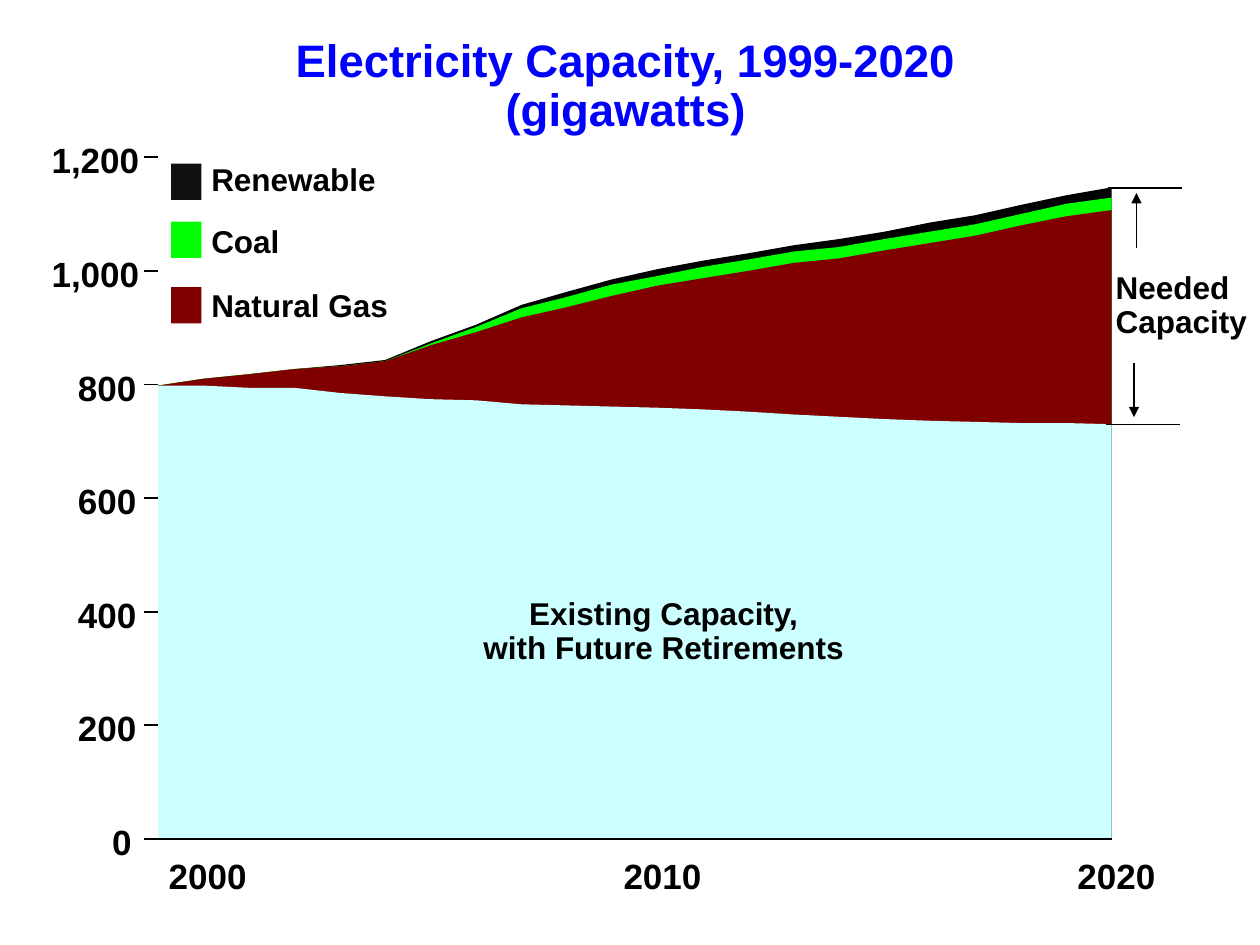
from lxml.etree import SubElement
from pptx import Presentation
from pptx.dml.color import RGBColor
from pptx.enum.shapes import MSO_CONNECTOR as Link, MSO_SHAPE as Shape
from pptx.enum.text import MSO_ANCHOR as Anchor, MSO_AUTO_SIZE as Fit, PP_ALIGN as Align
from pptx.oxml.ns import qn
from pptx.util import Cm, Pt

BLACK = RGBColor(0, 0, 0)
INK = RGBColor(0x10, 0x10, 0x10)
GREEN = RGBColor(0, 0xFF, 0)
MAROON = RGBColor(0x80, 0, 0)
CYAN = RGBColor(0xCC, 0xFF, 0xFF)
BLUE = RGBColor(0, 0, 0xFF)

LEFT, BASE, WIDE = 3.19, 16.91, 19.22
RIGHT = LEFT + WIDE
STEP = 200
UNIT = 2.29 / STEP

TOTALS = [
    (BLACK, [798, 810, 818, 827, 834, 843, 876, 905, 940, 963, 985, 1003, 1018,
             1031, 1045, 1056, 1069, 1085, 1098, 1116, 1133, 1147]),
    (GREEN, [798, 810, 818, 827, 832, 841, 872, 901, 934, 954, 976, 991, 1007,
             1020, 1034, 1042, 1056, 1069, 1082, 1100, 1118, 1129]),
    (MAROON, [798, 810, 818, 827, 832, 841, 869, 892, 918, 936, 956, 974, 987,
              1000, 1014, 1022, 1036, 1049, 1062, 1080, 1096, 1107]),
    (CYAN, [798, 798, 794, 794, 785, 779, 774, 772, 765, 763, 761, 759, 756,
            752, 747, 743, 739, 736, 734, 732, 732, 730]),
]
KEYS = [("Renewable", INK, 3.3, 3.23, 3.4), ("Coal", GREEN, 4.47, 4.47, 1.5),
        ("Natural Gas", MAROON, 5.79, 5.77, 3.7)]
YEARS = [("2000", 3.4), ("2010", 12.57), ("2020", 21.72)]
SPOTS = {1: (2.26, 0.45), 3: (1.57, 1.25), 5: (1.04, 1.85)}


def height(watts):
    """Return the vertical place of a value in gigawatts."""
    return BASE - watts * UNIT


def paint(shape, color):
    """Give a shape a flat fill without line or shadow."""
    shape.shadow.inherit = False
    shape.fill.solid()
    shape.fill.fore_color.rgb = color
    shape.line.fill.background()


def add_area(slide, color, totals):
    """Draw one area from its values down to the base line."""
    gap = WIDE / (len(totals) - 1)
    spots = [(LEFT + i * gap, height(v)) for i, v in enumerate(totals)]
    spots += [(RIGHT, BASE), (LEFT, BASE)]
    spots = [(Cm(x), Cm(y)) for x, y in spots]
    form = slide.shapes.build_freeform(*spots[0])
    form.add_line_segments(spots[1:], close=True)
    paint(form.convert_to_shape(), color)


def add_line(slide, x1, y1, x2, y2, width=0.75, arrow=False):
    """Draw a straight black line, with an arrowhead if asked."""
    line = slide.shapes.add_connector(Link.STRAIGHT, Cm(x1), Cm(y1), Cm(x2), Cm(y2))
    line.line.color.rgb = BLACK
    line.line.width = Pt(width)
    if arrow:
        edge = line._element.spPr.find(qn("a:ln"))
        SubElement(edge, qn("a:tailEnd"), type="triangle")
    SubElement(line._element.spPr, qn("a:effectLst"))


def set_text(box, text, size, color=BLACK, align=Align.LEFT, lead=1.0):
    """Fill a box with bold text and no margins."""
    frame = box.text_frame
    frame.text = text
    frame.word_wrap = False
    frame.auto_size = Fit.SHAPE_TO_FIT_TEXT
    frame.vertical_anchor = Anchor.TOP
    frame.margin_left = frame.margin_right = 0
    frame.margin_top = frame.margin_bottom = 0
    for para in frame.paragraphs:
        para.alignment = align
        para.line_spacing = lead
        for run in para.runs:
            font = run.font
            font.name, font.size, font.bold = "Arial", Pt(size), True
            font.color.rgb = color


def add_text(slide, text, x, y, w, h, size, **style):
    """Add a text box."""
    box = slide.shapes.add_textbox(Cm(x), Cm(y), Cm(w), Cm(h))
    set_text(box, text, size, **style)


def add_title(slide):
    """Move and format the title."""
    title = slide.shapes.title
    title.left, title.top = Cm(5.87), Cm(0.77)
    title.width, title.height = Cm(13.49), Cm(1.98)
    set_text(title, "Electricity Capacity, 1999-2020\n(gigawatts)", 26,
             color=BLUE, align=Align.CENTER, lead=0.9)


def add_axes(slide):
    """Draw the ticks, the base line and the axis labels."""
    for watts in range(0, 1201, STEP):
        y, text = height(watts), f"{watts:,}"
        x, w = SPOTS[len(text)]
        add_line(slide, 2.9, y, LEFT, y, width=1)
        add_text(slide, text, x, y - 0.37, w, 0.84, 20)
    add_line(slide, LEFT, BASE, RIGHT, BASE, width=1)
    for year, x in YEARS:
        add_text(slide, year, x, 17.22, 1.7, 0.84, 20)


def add_key(slide, text, color, y, top, w):
    """Add one legend entry."""
    mark = slide.shapes.add_shape(Shape.RECTANGLE, Cm(3.45), Cm(y), Cm(0.61), Cm(0.73))
    paint(mark, color)
    add_text(slide, text, 4.26, top, w, 0.76, 18)


def add_needed(slide):
    """Mark the span of needed capacity beside the areas."""
    add_text(slide, "Needed\nCapacity", 22.49, 5.49, 2.8, 1.37, 18, lead=0.9)
    add_line(slide, 22.33, 3.79, 23.83, 3.79)
    add_line(slide, 22.3, 8.56, 23.79, 8.56)
    add_line(slide, 22.86, 7.32, 22.86, 8.41, arrow=True)
    add_line(slide, 22.91, 5, 22.91, 3.89, arrow=True)


def main():
    """Build the slide and save it."""
    deck = Presentation()
    deck.slide_width, deck.slide_height = Cm(25.4), Cm(19.05)
    slide = deck.slides.add_slide(deck.slide_layouts[5])
    add_title(slide)
    for color, totals in TOTALS:
        add_area(slide, color, totals)
    add_axes(slide)
    add_needed(slide)
    for key in KEYS:
        add_key(slide, *key)
    add_text(slide, "Existing Capacity,\nwith Future Retirements", 9.63, 12.07,
             7.5, 1.37, 18, align=Align.CENTER, lead=0.9)
    deck.save("out.pptx")


if __name__ == "__main__":
    main()
